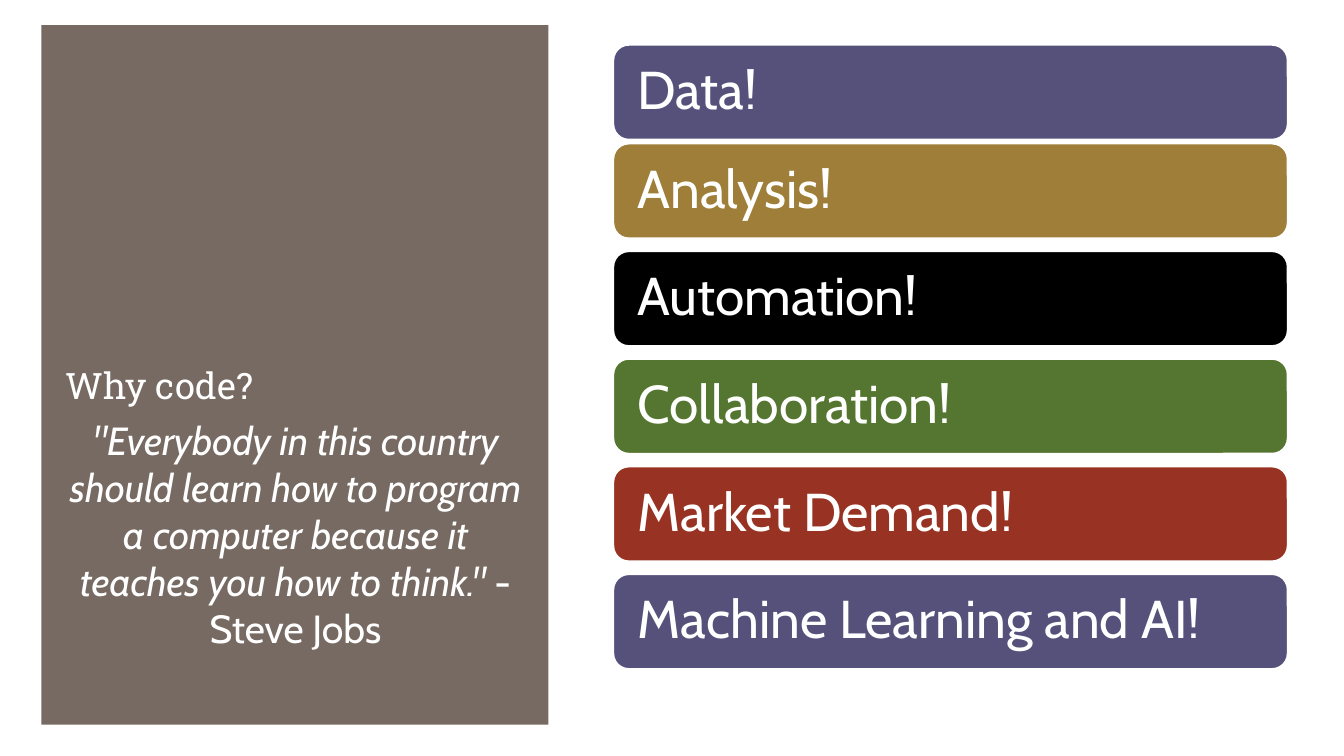
"""Build a slide that answers why to code, with a quote panel and six reasons."""
from dataclasses import dataclass

from pptx import Presentation
from pptx.dml.color import RGBColor
from pptx.enum.shapes import MSO_SHAPE
from pptx.enum.text import MSO_ANCHOR, PP_ALIGN
from pptx.util import Inches, Pt


@dataclass(frozen=True)
class Theme:
    white: str = "FFFFFF"
    taupe: str = "766A62"
    violet: str = "55517B"
    ochre: str = "9E7E38"
    black: str = "000000"
    green: str = "557630"
    red: str = "983222"
    heading_font: str = "Roboto Slab"
    body_font: str = "Cabin"
    heading_size: int = 26
    quote_size: int = 28
    bar_size: int = 38
    bar_outline: int = 2


class SlideBuilder:
    def __init__(self, presentation, theme):
        self.theme = theme
        self.width = presentation.slide_width
        self.height = presentation.slide_height
        self.slide = presentation.slides.add_slide(presentation.slide_layouts[6])

    def place(self, left, top, width, height):
        return (
            round(self.width * left / 100),
            round(self.height * top / 100),
            round(self.width * width / 100),
            round(self.height * height / 100),
        )

    def style(self, paragraph, font_name, size):
        paragraph.font.name = font_name
        paragraph.font.size = Pt(size)
        paragraph.font.color.rgb = RGBColor.from_string(self.theme.white)

    def panel(self, area, color, kind=MSO_SHAPE.RECTANGLE):
        shape = self.slide.shapes.add_shape(kind, *self.place(*area))
        shape.shadow.inherit = False
        shape.fill.solid()
        shape.fill.fore_color.rgb = RGBColor.from_string(color)
        shape.line.fill.background()
        return shape

    def text(self, area, runs, font_name, size, anchor, alignment):
        frame = self.slide.shapes.add_textbox(*self.place(*area)).text_frame
        frame.word_wrap = True
        frame.vertical_anchor = anchor
        paragraph = frame.paragraphs[0]
        paragraph.alignment = alignment
        self.style(paragraph, font_name, size)
        for content, italic in runs:
            run = paragraph.add_run()
            run.text = content
            run.font.italic = italic

    def bar(self, area, label, color):
        shape = self.panel(area, color, MSO_SHAPE.ROUNDED_RECTANGLE)
        shape.line.color.rgb = RGBColor.from_string(self.theme.white)
        shape.line.width = Pt(self.theme.bar_outline)
        frame = shape.text_frame
        frame.word_wrap = True
        frame.vertical_anchor = MSO_ANCHOR.MIDDLE
        frame.margin_left = frame.margin_right = Inches(0.2)
        paragraph = frame.paragraphs[0]
        paragraph.text = label
        paragraph.alignment = PP_ALIGN.LEFT
        paragraph.line_spacing = 0.9
        self.style(paragraph, self.theme.body_font, self.theme.bar_size)


def main():
    presentation = Presentation()
    presentation.slide_width = Inches(13.33)
    presentation.slide_height = Inches(7.5)
    theme = Theme()
    builder = SlideBuilder(presentation, theme)

    builder.panel((3.08, 3.33, 37.73, 92.53), theme.taupe)
    builder.text(
        (4.17, 37.47, 35.63, 16.93), [("Why code?", False)],
        theme.heading_font, theme.heading_size, MSO_ANCHOR.BOTTOM, PP_ALIGN.LEFT,
    )
    quote = (
        '"Everybody in this country should learn how to program '
        'a computer because it teaches you how to think." '
    )
    builder.text(
        (4.17, 54.4, 35.63, 34.93), [(quote, True), ("- Steve Jobs", False)],
        theme.body_font, theme.quote_size, MSO_ANCHOR.TOP, PP_ALIGN.CENTER,
    )

    reasons = [
        ("Data!", theme.violet),
        ("Analysis!", theme.ochre),
        ("Automation!", theme.black),
        ("Collaboration!", theme.green),
        ("Market Demand!", theme.red),
        ("Machine Learning and AI!", theme.violet),
    ]
    first_top, row_pitch, first_drop = 4.69, 14.24, 1.18
    for row, (label, color) in enumerate(reasons):
        top = first_top + row * row_pitch + (first_drop if row == 0 else 0)
        builder.bar((45.6, top, 50.25, 12.67), label, color)

    presentation.save("out.pptx")


if __name__ == "__main__":
    main()
